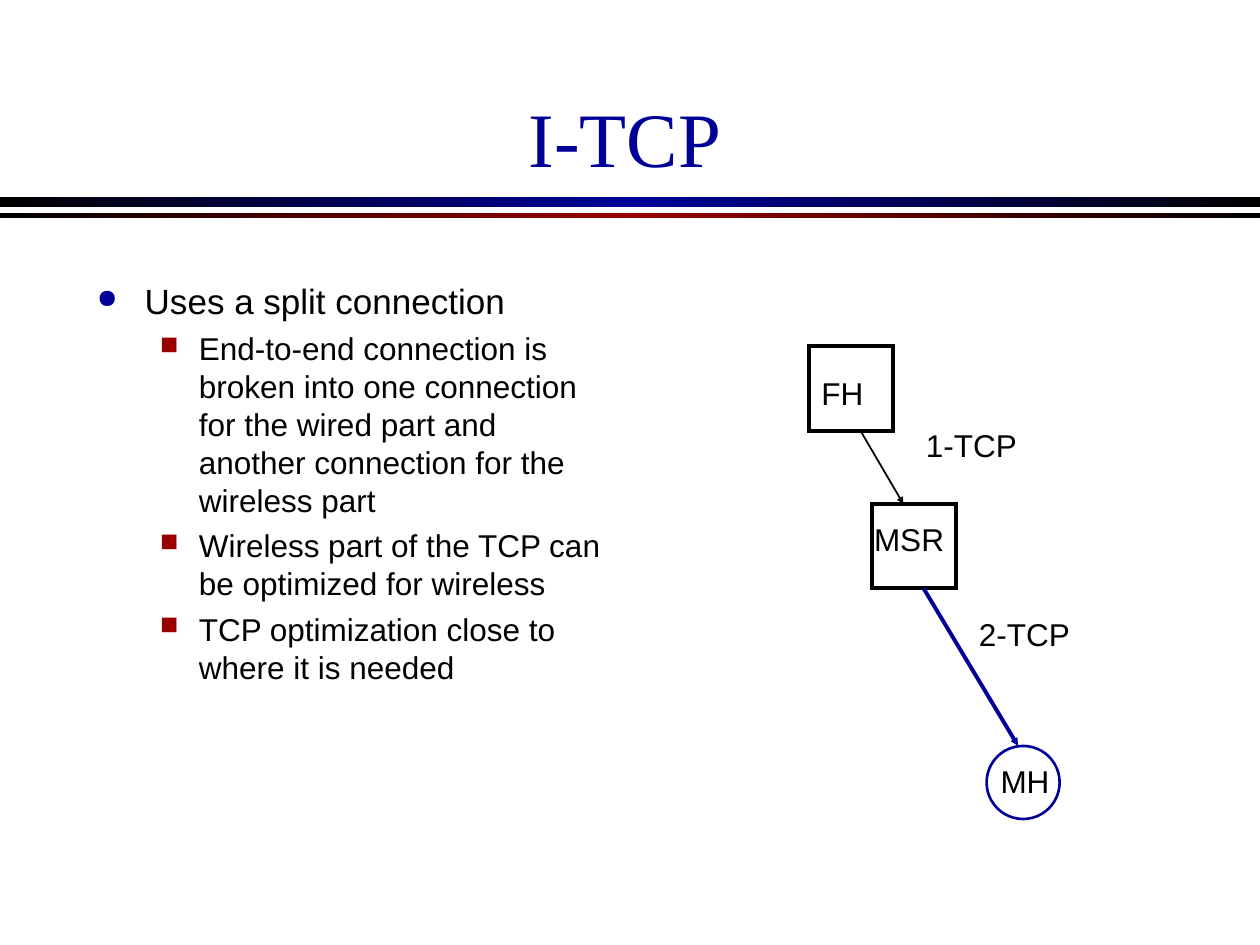
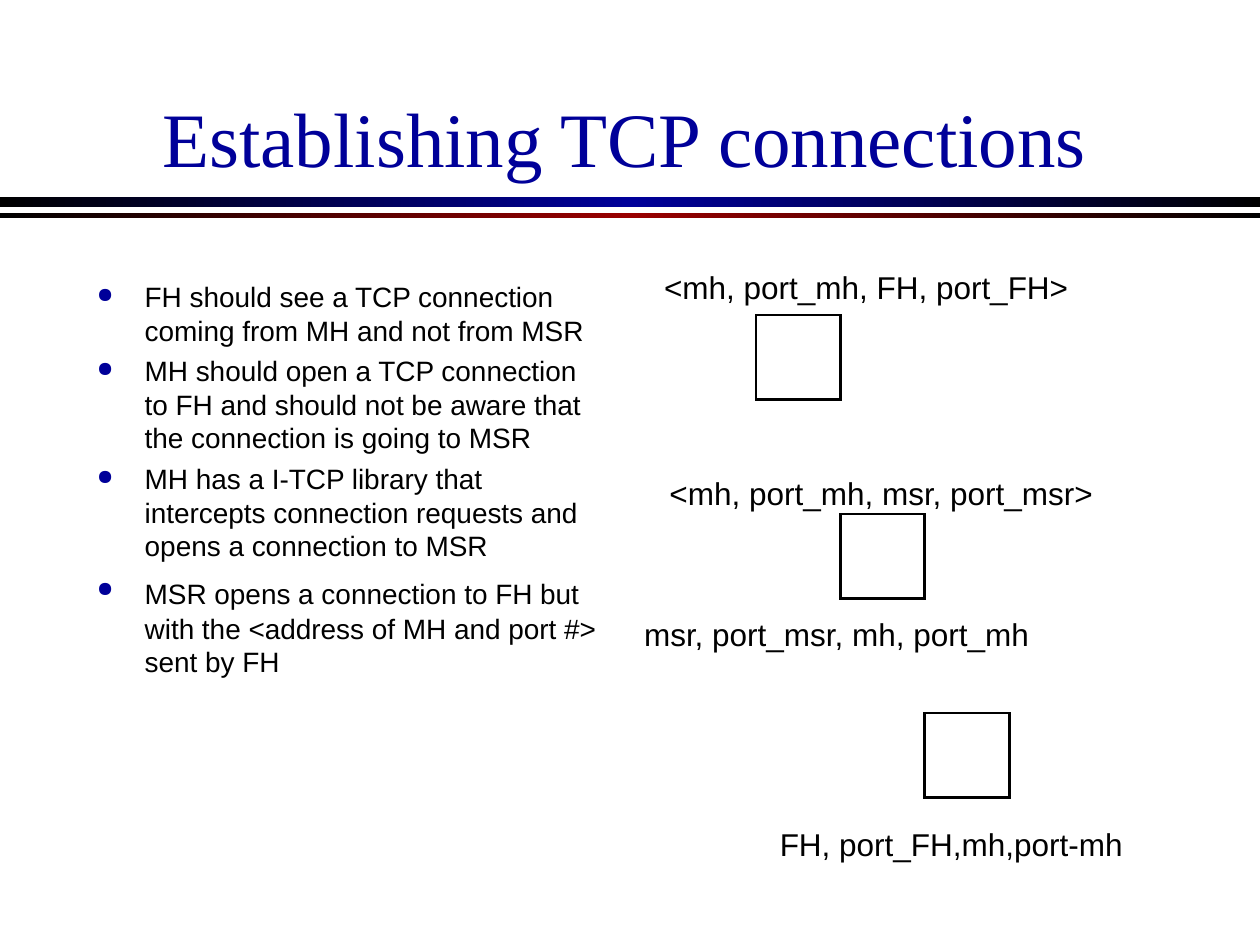
"""Build two slides on I-TCP split connections and how they are established."""
from copy import deepcopy
from dataclasses import dataclass
from typing import Any

from lxml import etree
from pptx import Presentation
from pptx.dml.color import RGBColor
from pptx.enum.shapes import MSO_CONNECTOR, MSO_SHAPE
from pptx.enum.text import MSO_ANCHOR, MSO_AUTO_SIZE, PP_ALIGN
from pptx.oxml.ns import qn
from pptx.util import Inches, Pt

RECT, OVAL = MSO_SHAPE.RECTANGLE, MSO_SHAPE.OVAL
STRAIGHT = MSO_CONNECTOR.STRAIGHT
CENTER, LEFT = PP_ALIGN.CENTER, PP_ALIGN.LEFT
TOP, BOTTOM = MSO_ANCHOR.TOP, MSO_ANCHOR.BOTTOM
FIT_SHAPE, FIT_NONE = MSO_AUTO_SIZE.SHAPE_TO_FIT_TEXT, MSO_AUTO_SIZE.NONE

COLORS = {"ink": "000000", "blue": "000099", "red": "990000"}
SANS, SERIF = "Arial", "Times New Roman"
NODE = 0.67
LABEL_H = 0.4
LABEL_SLACK = 0.03

TITLE_FORMAT = {"word_wrap": True, "auto_size": FIT_NONE, "vertical_anchor": BOTTOM}
BODY_FORMAT = {"word_wrap": True, "auto_size": FIT_NONE, "vertical_anchor": TOP}
LABEL_FORMAT = {"word_wrap": False, "auto_size": FIT_SHAPE, "vertical_anchor": TOP}


@dataclass
class Band:
    top: float
    height: float
    color: str


@dataclass
class Node:
    left: float
    top: float
    line_width: float
    size: float = NODE
    color: str = "ink"
    kind: Any = RECT


@dataclass
class Arrow:
    start: tuple[float, float]
    end: tuple[float, float]
    color: str
    width: float


@dataclass
class Label:
    text: str
    left: float
    top: float
    width: float


@dataclass
class BulletStyle:
    char: str
    color: str
    percent: int
    margin: float
    hang: float


@dataclass
class Bullet:
    runs: list[tuple[str, int]]
    level: int = 0


BANDS = [Band(1.56, 0.08, "blue"), Band(1.69, 0.04, "red")]
BULLET_STYLES = [
    BulletStyle("●", "blue", 75, 0.38, 0.38),
    BulletStyle("■", "red", 80, 0.81, 0.31),
]

SPLIT_BULLETS = [
    Bullet([("Uses a split connection", 20)]),
    Bullet([("End-to-end connection is broken into one connection for the wired "
             "part and another connection for the wireless part", 18)], 1),
    Bullet([("Wireless part of the TCP can be optimized for wireless", 18)], 1),
    Bullet([("TCP optimization close to where it is needed", 18)], 1),
]
SPLIT_NODES = [
    Node(6.42, 2.75, 2.25),
    Node(6.92, 4, 2.25),
    Node(7.83, 5.92, 1.5, 0.58, "blue", OVAL),
]
SPLIT_ARROWS = [
    Arrow((6.83, 3.42), (7.17, 4), "ink", 1),
    Arrow((7.33, 4.67), (8.08, 5.92), "blue", 2.25),
]
SPLIT_LABELS = [
    Label("FH", 6.42, 2.92, 0.53),
    Label("MSR", 6.84, 4.08, 0.75),
    Label("MH", 7.84, 6, 0.59),
    Label("1-TCP", 7.25, 3.33, 0.92),
    Label("2-TCP", 7.67, 4.83, 0.92),
]

SETUP_BULLETS = [
    Bullet([("FH should see a TCP connection coming from MH and not from MSR", 16)]),
    Bullet([("MH should open a TCP connection to FH and should not be aware that "
             "the connection is going to MSR", 16)]),
    Bullet([("MH has a I-TCP library that intercepts connection requests and "
             "opens a connection to MSR", 16)]),
    Bullet([("MSR opens a connection to FH but", 16), (" ", 20),
            ("with the <address of MH and port #> sent by FH", 16)]),
]
SETUP_NODES = [Node(6 + i * NODE, 2.5 + i * 1.58, 1.5) for i in range(3)]
SETUP_LABELS = [
    Label("<mh, port_mh, FH, port_FH>", 5.17, 2.08, 3.41),
    Label("<mh, port_mh, msr, port_msr>", 5.21, 3.71, 3.57),
    Label("msr, port_msr, mh, port_mh", 5, 4.83, 3.28),
    Label("FH, port_FH,mh,port-mh", 6.09, 6.5, 2.92),
]


def rgb(name: str) -> RGBColor:
    return RGBColor.from_string(COLORS[name])


def apply(obj: Any, values: dict[str, Any]) -> None:
    for key, value in values.items():
        setattr(obj, key, value)


def add_shape(s: Any, kind: Any, left: float, top: float, width: float, height: float) -> Any:
    sp = s.shapes.add_shape(kind, Inches(left), Inches(top), Inches(width), Inches(height))
    sp.shadow.inherit = False
    return sp


def add_frame(s: Any, left: float, top: float, width: float, height: float,
              values: dict[str, Any]) -> Any:
    sp = s.shapes.add_textbox(Inches(left), Inches(top), Inches(width), Inches(height))
    apply(sp.text_frame, values)
    return sp.text_frame


def add_run(p: Any, text: str, size: int, font: str = SANS, color: str = "ink") -> None:
    r = p.add_run()
    r.text = text
    apply(r.font, {"name": font, "size": Pt(size)})
    r.font.color.rgb = rgb(color)


def add_band(s: Any, band: Band) -> None:
    sp = add_shape(s, RECT, 0, band.top, 10, band.height)
    sp.line.fill.background()
    sp.fill.gradient()
    sp.fill.gradient_angle = 0
    stops = sp._element.spPr.find(".//" + qn("a:gsLst"))
    stops.append(deepcopy(stops[0]))
    for i, stop in enumerate(sp.fill.gradient_stops):
        stop.position = i / 2
        stop.color.rgb = rgb(band.color if i == 1 else "ink")


def add_title(s: Any, text: str) -> None:
    p = add_frame(s, 0.67, 0.25, 8.58, 1.25, TITLE_FORMAT).paragraphs[0]
    p.alignment = CENTER
    add_run(p, text, 44, SERIF, "blue")


def set_bullet(p: Any, style: BulletStyle) -> None:
    pPr = p._p.get_or_add_pPr()
    pPr.set("marL", str(Inches(style.margin)))
    pPr.set("indent", str(-Inches(style.hang)))
    clr = etree.SubElement(pPr, qn("a:buClr"))
    etree.SubElement(clr, qn("a:srgbClr"), val=COLORS[style.color])
    etree.SubElement(pPr, qn("a:buSzPct"), val=str(style.percent * 1000))
    etree.SubElement(pPr, qn("a:buChar"), char=style.char)


def add_body(s: Any, bullets: list[Bullet]) -> None:
    tf = add_frame(s, 0.67, 2.17, 4.21, 4.5, BODY_FORMAT)
    for i, bullet in enumerate(bullets):
        p = tf.add_paragraph() if i else tf.paragraphs[0]
        set_bullet(p, BULLET_STYLES[bullet.level])
        space = Pt(bullet.runs[0][1] / 4) if i else Pt(0)
        apply(p, {"level": bullet.level, "alignment": LEFT, "space_before": space})
        for text, size in bullet.runs:
            add_run(p, text, size)


def add_node(s: Any, node: Node) -> None:
    sp = add_shape(s, node.kind, node.left, node.top, node.size, node.size)
    sp.fill.background()
    sp.line.color.rgb = rgb(node.color)
    sp.line.width = Pt(node.line_width)
    etree.SubElement(sp.line._get_or_add_ln(), qn("a:miter"), lim="800000")


def add_arrow(s: Any, arrow: Arrow) -> None:
    ends = [Inches(v) for v in (*arrow.start, *arrow.end)]
    cxn = s.shapes.add_connector(STRAIGHT, *ends)
    cxn.line.color.rgb = rgb(arrow.color)
    cxn.line.width = Pt(arrow.width)
    etree.SubElement(cxn.line._get_or_add_ln(), qn("a:tailEnd"),
                     type="triangle", w="sm", len="sm")
    etree.SubElement(cxn._element.spPr, qn("a:effectLst"))


def add_label(s: Any, label: Label) -> None:
    tf = add_frame(s, label.left - LABEL_SLACK, label.top,
                   label.width + 2 * LABEL_SLACK, LABEL_H, LABEL_FORMAT)
    p = tf.paragraphs[0]
    p.alignment = CENTER
    add_run(p, label.text, 18)


def add_slide(prs: Any, title: str, bullets: list[Bullet], nodes: list[Node],
              arrows: list[Arrow], labels: list[Label]) -> None:
    s = prs.slides.add_slide(prs.slide_layouts[6])
    for band in BANDS:
        add_band(s, band)
    add_title(s, title)
    add_body(s, bullets)
    for node in nodes:
        add_node(s, node)
    for arrow in arrows:
        add_arrow(s, arrow)
    for label in labels:
        add_label(s, label)


def main() -> None:
    prs = Presentation()
    apply(prs, {"slide_width": Inches(10), "slide_height": Inches(7.5)})
    add_slide(prs, "I-TCP", SPLIT_BULLETS, SPLIT_NODES, SPLIT_ARROWS, SPLIT_LABELS)
    add_slide(prs, "Establishing TCP connections", SETUP_BULLETS, SETUP_NODES, [], SETUP_LABELS)
    prs.save("out.pptx")


if __name__ == "__main__":
    main()
